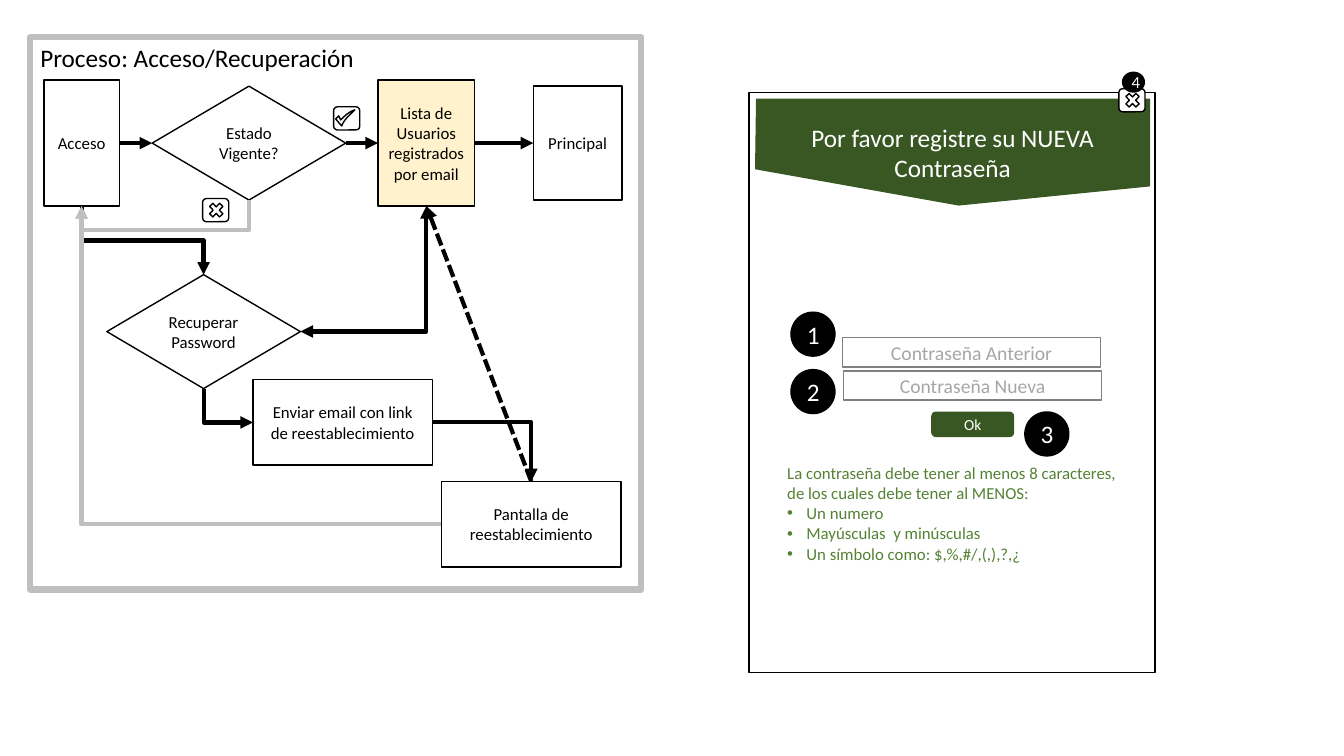
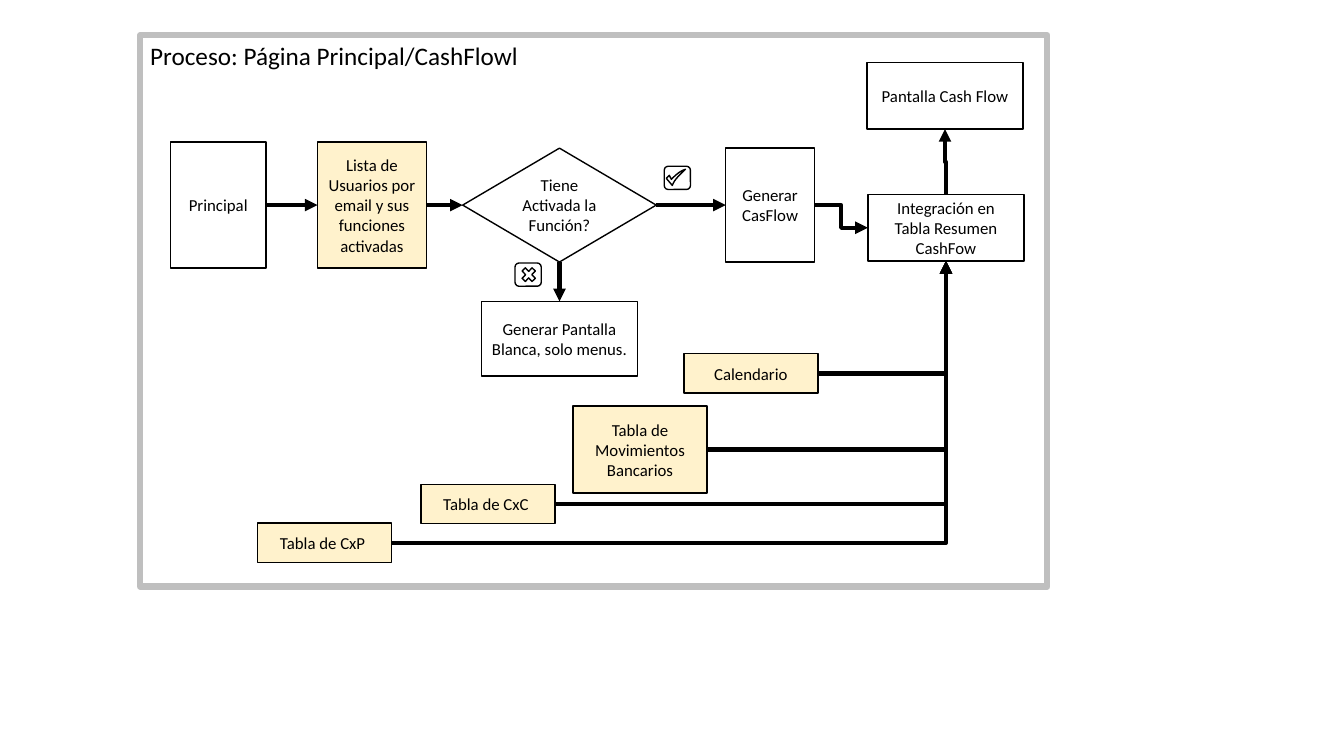
from lxml.etree import SubElement
from pptx import Presentation
from pptx.dml.color import RGBColor
from pptx.enum.dml import MSO_LINE
from pptx.enum.shapes import MSO_CONNECTOR, MSO_SHAPE
from pptx.enum.text import MSO_ANCHOR, MSO_AUTO_SIZE, PP_ALIGN
from pptx.oxml.ns import qn
from pptx.util import Inches, Pt

COLUMNS, ROWS = 133.33, 75
BLACK, WHITE, GREY, CREAM = "000000", "FFFFFF", "BFBFBF", "FFF2CC"
DARK_GREEN, GREEN, FIELD_LINE, FIELD_TEXT = "385723", "548235", "808080", "A6A6A6"
TOP, LEFT, BOTTOM, RIGHT = range(4)
DECISION_SIZE, EMAIL_SIZE = (19.2, 11.3), (17.8, 8.5)
SCREEN_SIZE, TABLE_SIZE = (15.5, 6.6), (13.3, 3.9)
FIELD_SIZE, BADGE_SIZE, NUMBER_SIZE = (25.6, 2.9), (2.6, 2.3), (4.5, 4.5)
CENTRED = {"alignment": PP_ALIGN.CENTER}
FLUSH_LEFT = {"alignment": PP_ALIGN.LEFT, "space_before": Pt(0)}
BANNER = [(75, 9.8), (114.1, 9.8), (114.1, 18.5), (95.1, 20.4), (74.9, 16.8)]


def cells(count):
    """Convert grid columns or rows, a tenth of an inch each, to a length."""
    return Inches(count / 10)


def rgb(value):
    """Turn a hex string into a colour."""
    return RGBColor.from_string(value)


def apply(target, formats):
    """Set every attribute in a dict of format values."""
    for attribute, value in formats.items():
        setattr(target, attribute, value)


def paint(shape, fill=WHITE, line=BLACK, weight=1):
    """Give a shape its fill and outline; None leaves either out."""
    if fill:
        shape.fill.solid()
        shape.fill.fore_color.rgb = rgb(fill)
    else:
        shape.fill.background()
    if line:
        shape.line.color.rgb = rgb(line)
        shape.line.width = Pt(weight)
    else:
        shape.line.fill.background()


def write(shape, lines, size=12, color=BLACK, layout=CENTRED, anchor=MSO_ANCHOR.MIDDLE):
    """Fill a text frame with one formatted paragraph per line."""
    frame = shape.text_frame
    apply(frame, {"word_wrap": True, "auto_size": MSO_AUTO_SIZE.NONE,
                  "vertical_anchor": anchor})
    for index, line in enumerate(lines):
        paragraph = frame.add_paragraph() if index else frame.paragraphs[0]
        apply(paragraph, layout)
        run = paragraph.add_run()
        run.text = line
        apply(run.font, {"name": "Calibri", "size": Pt(size), "bold": False})
        run.font.color.rgb = rgb(color)


def place(shape, left, top, width, height):
    """Move a shape to a place on the grid."""
    apply(shape, {"left": cells(left), "top": cells(top),
                  "width": cells(width), "height": cells(height)})


def box(shapes, centre, size, text="", preset=MSO_SHAPE.RECTANGLE,
        fill=WHITE, line=BLACK, points=12, color=BLACK):
    """Add a preset shape around its centre, with optional text."""
    (x, y), (width, height) = centre, size
    shape = shapes.add_shape(preset, cells(x - width / 2), cells(y - height / 2),
                             cells(width), cells(height))
    shape.shadow.inherit = False
    paint(shape, fill, line)
    if text:
        write(shape, [text], points, color)
    return shape


def decision(shapes, centre, text):
    """Add a decision diamond."""
    return box(shapes, centre, DECISION_SIZE, text, MSO_SHAPE.FLOWCHART_DECISION)


def outline(shapes, corners):
    """Add a closed freeform through the given grid points."""
    points = [(cells(x), cells(y)) for x, y in corners]
    builder = shapes.build_freeform(*points[0])
    builder.add_line_segments(points[1:], close=True)
    shape = builder.convert_to_shape()
    shape.shadow.inherit = False
    return shape


def curve(start, first, second, end, steps=8):
    """List points along a cubic curve, both ends included."""
    shares = [step / steps for step in range(steps + 1)]
    return [tuple((1 - t) ** 3 * a + 3 * t * (1 - t) ** 2 * b
                  + 3 * t * t * (1 - t) * c + t ** 3 * d
                  for a, b, c, d in zip(start, first, second, end)) for t in shares]


def badge(slide, centre, accepted):
    """Add a rounded badge holding a tick or a cross."""
    shapes = slide.shapes.add_group_shape().shapes
    box(shapes, centre, BADGE_SIZE, preset=MSO_SHAPE.ROUNDED_RECTANGLE)
    x, y = centre
    if accepted:
        tick = (curve((1.9, 0), (1.4, 0.5), (0.8, 1), (0.6, 1.6))
                + [(0, 0.9), (0.3, 0.6)]
                + curve((0.5, 1), (0.9, 0.6), (1.3, 0.2), (1.9, 0))[:-1])
        paint(outline(shapes, [(x - 1.1 + dx, y - 0.85 + dy) for dx, dy in tick]))
    else:
        box(shapes, (x + 0.05, y), (1.9, 2), preset=MSO_SHAPE.MATH_MULTIPLY)


def number(slide, centre, text, size=NUMBER_SIZE, points=18):
    """Add a numbered black dot."""
    box(slide.shapes, centre, size, text, MSO_SHAPE.OVAL, BLACK, None, points, WHITE)


def arrow(slide, source, out, target, into, color=BLACK, dash=None,
          kind=MSO_CONNECTOR.STRAIGHT, both_ends=False):
    """Join two shapes with an arrow and return it."""
    connector = slide.shapes.add_connector(kind, 0, 0, 0, 0)
    connector.begin_connect(source, out)
    connector.end_connect(target, into)
    apply(connector.line, {"width": Pt(3)})
    connector.line.color.rgb = rgb(color)
    if dash:
        connector.line.dash_style = dash
    properties = connector._element.spPr
    stroke = properties.find(qn("a:ln"))
    for end in ("a:headEnd", "a:tailEnd") if both_ends else ("a:tailEnd",):
        SubElement(stroke, qn(end), type="triangle")
    SubElement(properties, qn("a:effectLst"))
    return connector


def elbow(slide, source, out, target, into, bend=0.5, **style):
    """Join two shapes with a right-angled arrow, turning once or twice."""
    connector = arrow(slide, source, out, target, into, kind=MSO_CONNECTOR.ELBOW, **style)
    x, y = connector.begin_x, connector.begin_y
    dx, dy = connector.end_x - x, connector.end_y - y
    width, height, flips = abs(dx), abs(dy), (dx < 0, dy < 0)
    if out in (TOP, BOTTOM):
        width, height, flips = abs(dy), abs(dx), (dy < 0, dx > 0)
        connector.rotation = 90
    apply(connector, {"left": int(x + dx / 2 - width / 2),
                      "top": int(y + dy / 2 - height / 2),
                      "width": width, "height": height})
    properties = connector._element.spPr
    for flag, flipped in zip(("flipH", "flipV"), flips):
        properties.find(qn("a:xfrm")).set(flag, str(int(flipped)))
    geometry = properties.find(qn("a:prstGeom"))
    if out % 2 != into % 2:
        geometry.set("prst", "bentConnector2")
    else:
        SubElement(geometry.find(qn("a:avLst")), qn("a:gd"), name="adj1",
                   fmla=f"val {round(bend * 100000)}")


def process_slide(deck, layout, title, frame):
    """Add a slide whose title sits inside a grey process frame."""
    slide = deck.slides.add_slide(deck.slide_layouts[layout])
    heading = slide.shapes.title
    place(heading, *frame)
    paint(heading, WHITE, GREY, 4.5)
    write(heading, [title], 18, layout=FLUSH_LEFT, anchor=MSO_ANCHOR.TOP)
    return slide


def password_rules(slide):
    """Write the password rules: an opening line and a bulleted list."""
    rules = slide.placeholders[1]
    place(rules, 77.1, 45.4, 36, 19.6)
    write(rules, ["La contraseña debe tener al menos 8 caracteres, "
                  "de los cuales debe tener al MENOS:",
                  "Un numero", "Mayúsculas  y minúsculas",
                  "Un símbolo como: $,%,#/,(,),?,¿"],
          12, GREEN, FLUSH_LEFT, MSO_ANCHOR.TOP)
    for index, paragraph in enumerate(rules.text_frame.paragraphs):
        properties = paragraph._p.get_or_add_pPr()
        indent = Inches(0.19) if index else 0
        properties.set("marL", str(indent))
        properties.set("indent", str(-indent))
        if index:
            SubElement(properties, qn("a:buFont"), typeface="Arial")
            SubElement(properties, qn("a:buChar"), char="•")
        else:
            SubElement(properties, qn("a:buNone"))


def password_screen(slide):
    """Draw the screen where a new password is entered."""
    shapes = slide.shapes
    box(shapes, (94.45, 37.95), (40.3, 57.5), fill=None)
    banner = outline(shapes, BANNER)
    paint(banner, DARK_GREEN, None)
    write(banner, ["Por favor registre su NUEVA Contraseña"], 18, WHITE)
    for centre, prompt in (((96.4, 34.95), "Contraseña Anterior"),
                           ((96.5, 38.25), "Contraseña Nueva")):
        box(shapes, centre, FIELD_SIZE, prompt, line=FIELD_LINE,
            points=14, color=FIELD_TEXT)
    box(shapes, (96.5, 42.1), (8.1, 2.4), "Ok", MSO_SHAPE.ROUNDED_RECTANGLE,
        DARK_GREEN, DARK_GREEN, 11, WHITE)
    password_rules(slide)
    for text, centre in (("1", (80.65, 33.15)), ("2", (80.65, 38.85)),
                         ("3", (103.85, 43.05))):
        number(slide, centre, text)
    badge(slide, (112.3, 9.95), False)
    number(slide, (112.45, 8.15), "4", (2.3, 2.1), 12)


def access_slide(deck):
    """Build the access and recovery process."""
    slide = process_slide(deck, 1, "Proceso: Acceso/Recuperación", (3, 3.7, 60.6, 54.8))
    password_screen(slide)
    shapes, row = slide.shapes, 14.2
    access = box(shapes, (8.1, row), (7.5, 12.5), "Acceso")
    main_page = box(shapes, (57.3, row), (8.8, 11.3), "Principal")
    users = box(shapes, (42.3, row), (9.6, 12.5),
                "Lista de Usuarios registrados por email", fill=CREAM)
    valid = decision(shapes, (24.7, row), "Estado Vigente?")
    recover = decision(shapes, (20.2, 32.9), "Recuperar Password")
    email = box(shapes, (34, 41.9), EMAIL_SIZE,
                "Enviar email con link de reestablecimiento")
    reset = box(shapes, (52.7, 52), EMAIL_SIZE, "Pantalla de reestablecimiento")
    for source, target in ((access, valid), (valid, users), (users, main_page)):
        arrow(slide, source, RIGHT, target, LEFT)
    elbow(slide, valid, BOTTOM, access, BOTTOM, bend=5, color=GREY)
    elbow(slide, access, BOTTOM, recover, TOP)
    elbow(slide, recover, RIGHT, users, BOTTOM, both_ends=True)
    elbow(slide, recover, BOTTOM, email, LEFT)
    arrow(slide, reset, TOP, users, BOTTOM, dash=MSO_LINE.SQUARE_DOT)
    elbow(slide, reset, LEFT, access, BOTTOM, color=GREY)
    elbow(slide, email, RIGHT, reset, TOP)
    badge(slide, (21.4, 20.85), False)
    badge(slide, (34.4, 11.75), True)


def cash_flow_slide(deck):
    """Build the main page and cash flow process."""
    slide = process_slide(deck, 5, "Proceso: Página Principal/CashFlowl",
                          (13.9, 3.5, 90, 54.7))
    shapes, row = slide.shapes, 20.35
    main_page = box(shapes, (21.65, row), (9.5, 12.5), "Principal")
    users = box(shapes, (36.9, row), (10.8, 12.5),
                "Lista de Usuarios por email y sus funciones activadas", fill=CREAM)
    active = decision(shapes, (55.5, row), "Tiene Activada la Función?")
    generate = box(shapes, (76.4, row), (8.8, 11.3), "Generar CasFlow")
    blank = box(shapes, (55.5, 33.6), (15.5, 7.4),
                "Generar Pantalla Blanca, solo menus.")
    screen = box(shapes, (93.75, 9.5), SCREEN_SIZE, "Pantalla Cash Flow")
    summary = box(shapes, (93.85, 22.6), SCREEN_SIZE,
                  "Integración en Tabla Resumen CashFow")
    for source, target in ((main_page, users), (users, active), (active, generate)):
        arrow(slide, source, RIGHT, target, LEFT)
    arrow(slide, active, BOTTOM, blank, TOP)
    elbow(slide, generate, RIGHT, summary, LEFT)
    elbow(slide, summary, TOP, screen, BOTTOM)
    for text, centre, size in (("Tabla de CxP ", (32.2, 53.85), TABLE_SIZE),
                               ("Tabla de CxC ", (48.4, 50), TABLE_SIZE),
                               ("Tabla de Movimientos Bancarios", (63.5, 44.6), (13.3, 8.6)),
                               ("Calendario", (74.5, 37.05), TABLE_SIZE)):
        table = box(shapes, centre, size, text, fill=CREAM)
        elbow(slide, table, RIGHT, summary, BOTTOM)
    badge(slide, (52.4, 27.25), False)
    badge(slide, (67.2, 17.65), True)


def main():
    """Build and save the deck."""
    deck = Presentation()
    apply(deck, {"slide_width": cells(COLUMNS), "slide_height": cells(ROWS)})
    access_slide(deck)
    cash_flow_slide(deck)
    deck.save("out.pptx")


if __name__ == "__main__":
    main()
